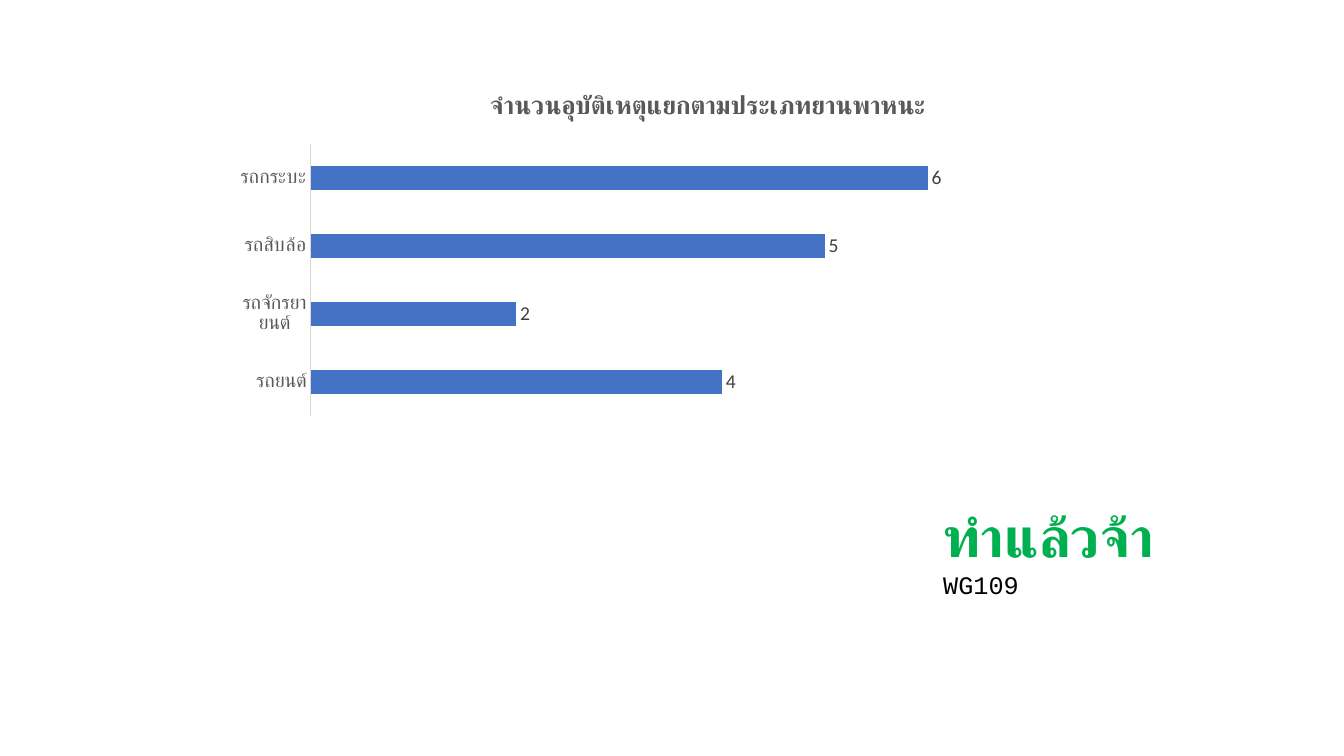
from dataclasses import dataclass
from typing import NamedTuple, Optional

from pptx import Presentation
from pptx.chart.chart import Chart
from pptx.chart.data import CategoryChartData
from pptx.dml.color import RGBColor as RGB
from pptx.enum.chart import XL_CHART_TYPE as ChartType
from pptx.enum.chart import XL_LABEL_POSITION as LabelPos
from pptx.enum.chart import XL_TICK_LABEL_POSITION as TickLabel
from pptx.enum.chart import XL_TICK_MARK as TickMark
from pptx.enum.text import MSO_AUTO_SIZE as AutoSize
from pptx.oxml import parse_xml
from pptx.oxml.ns import nsdecls, qn
from pptx.slide import Slide
from pptx.util import Cm, Pt


@dataclass(frozen=True)
class Theme:
    font: str = "Calibri"
    mono: str = "Courier New"
    bar: RGB = RGB(0x44, 0x72, 0xC4)
    axis: RGB = RGB(0xD9, 0xD9, 0xD9)
    muted: RGB = RGB(0x59, 0x59, 0x59)
    value: RGB = RGB(0x40, 0x40, 0x40)
    done: RGB = RGB(0x00, 0xB0, 0x50)
    ink: RGB = RGB(0, 0, 0)
    label_size: int = 14
    title_size: int = 18
    code_size: int = 18
    done_size: int = 40


class Vehicle(NamedTuple):
    name: str
    accidents: int


THEME = Theme()
VEHICLES = [
    Vehicle("รถยนต์", 4),
    Vehicle("รถจักรยายนต์", 2),
    Vehicle("รถสิบล้อ", 5),
    Vehicle("รถกระบะ", 6),
]


def set_font(font, color: RGB, size: int = THEME.label_size,
             name: str = THEME.font, bold: bool = False) -> None:
    font.name = name
    font.size = Pt(size)
    font.bold = bold
    font.color.rgb = color


def add_text(p, text: str, **fmt) -> None:
    r = p.add_run()
    r.text = text
    set_font(r.font, **fmt)


def make_layout(x: float, y: float, w: Optional[float] = None,
                h: Optional[float] = None):
    target = "" if w is None else '<c:layoutTarget val="inner"/>'
    modes = '<c:xMode val="edge"/><c:yMode val="edge"/>'
    sizes = {"x": x, "y": y, "w": w, "h": h}
    values = "".join(f'<c:{k} val="{v}"/>' for k, v in sizes.items() if v is not None)
    return parse_xml(f'<c:layout {nsdecls("c")}><c:manualLayout>'
                     f'{target}{modes}{values}</c:manualLayout></c:layout>')


def drop_layout(element) -> None:
    for old in element.findall(qn("c:layout")):
        element.remove(old)


def format_title(chart: Chart) -> None:
    chart.has_title = True
    title = chart.chart_title
    add_text(title.text_frame.paragraphs[0], "จำนวนอุบัติเหตุแยกตามประเภทยานพาหนะ",
             color=THEME.muted, size=THEME.title_size, bold=True)
    title.include_in_layout = False
    drop_layout(title.element)
    title.element.find(qn("c:tx")).addnext(make_layout(0.32, 0.02))


def format_axes(chart: Chart) -> None:
    cat = chart.category_axis
    cat.major_tick_mark = cat.minor_tick_mark = TickMark.NONE
    cat.tick_label_position = TickLabel.NEXT_TO_AXIS
    cat.has_major_gridlines = False
    cat.format.line.color.rgb = THEME.axis
    cat.format.line.width = Pt(0.75)
    set_font(cat.tick_labels.font, THEME.muted)
    val = chart.value_axis
    val.has_major_gridlines = False
    val.minimum_scale, val.maximum_scale = 0, 7
    val.visible = False


def format_bars(chart: Chart) -> None:
    plot = chart.plots[0]
    plot.gap_width = 182
    plot.vary_by_categories = False
    bars = plot.series[0]
    bars.format.fill.solid()
    bars.format.fill.fore_color.rgb = THEME.bar
    bars.format.line.fill.background()
    labels = bars.data_labels
    labels.show_value = True
    labels.position = LabelPos.OUTSIDE_END
    set_font(labels.font, THEME.value)
    area = chart.element.find(qn("c:chart")).find(qn("c:plotArea"))
    drop_layout(area)
    area.insert(0, make_layout(0.106, 0.181, 0.88, 0.763))


def add_accident_chart(s: Slide) -> None:
    data = CategoryChartData()
    data.categories = [v.name for v in VEHICLES]
    data.add_series("Series 1", [v.accidents for v in VEHICLES])
    chart = s.shapes.add_chart(ChartType.BAR_CLUSTERED, Cm(5.64), Cm(2.01),
                               Cm(20.62), Cm(8.97), data).chart
    chart.has_legend = False
    set_font(chart.font, THEME.ink)
    format_title(chart)
    format_axes(chart)
    format_bars(chart)


def add_status(s: Slide) -> None:
    tf = s.shapes.add_textbox(Cm(23.52), Cm(12.52), Cm(6.35), Cm(2.74)).text_frame
    tf.word_wrap = True
    tf.auto_size = AutoSize.SHAPE_TO_FIT_TEXT
    p = tf.paragraphs[0]
    add_text(p, "ทำแล้วจ้า ", color=THEME.done, size=THEME.done_size, bold=True)
    add_text(p, "WG109", color=THEME.ink, size=THEME.code_size, name=THEME.mono)


def main() -> None:
    prs = Presentation()
    prs.slide_width, prs.slide_height = Cm(33.87), Cm(19.05)
    s = prs.slides.add_slide(prs.slide_layouts[6])
    add_accident_chart(s)
    add_status(s)
    prs.save("out.pptx")


if __name__ == "__main__":
    main()
